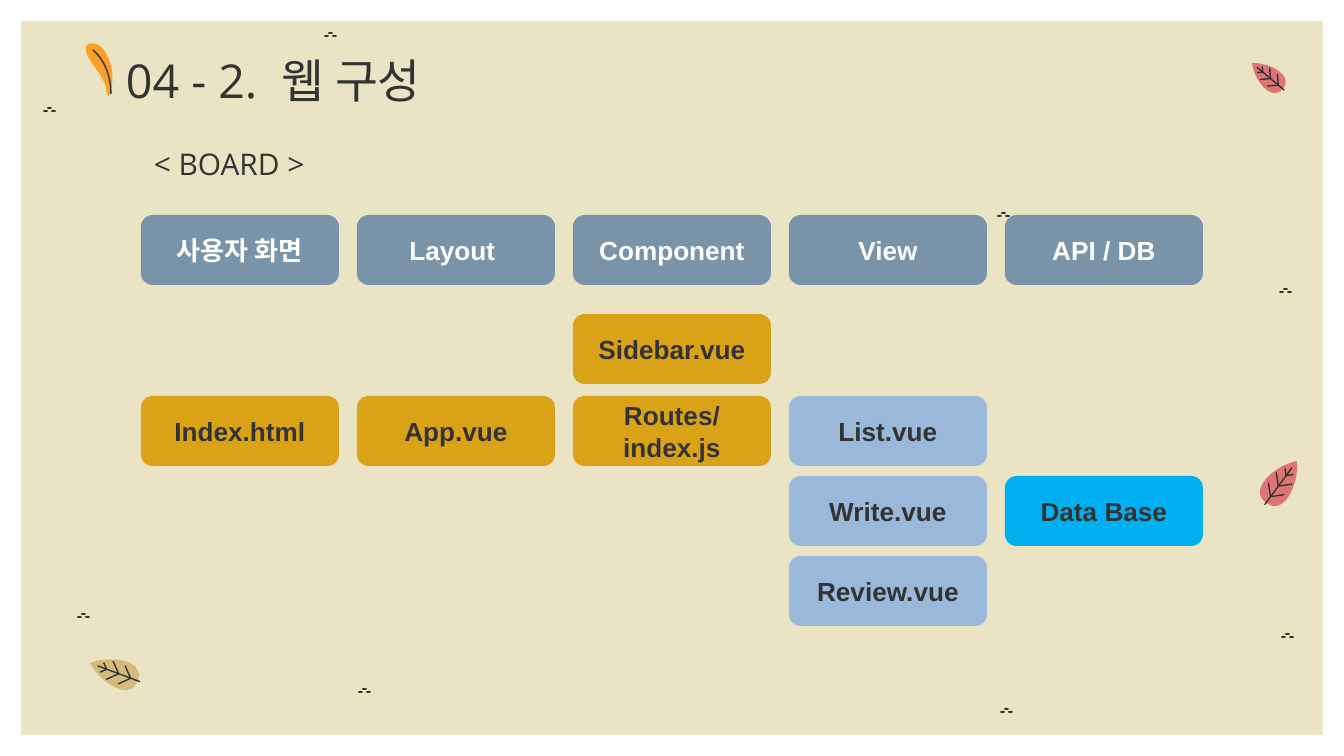
from dataclasses import dataclass

from pptx import Presentation
from pptx.dml.color import RGBColor
from pptx.enum.shapes import MSO_SHAPE
from pptx.enum.text import MSO_ANCHOR, PP_ALIGN
from pptx.util import Emu, Pt

RECTANGLE = MSO_SHAPE.RECTANGLE
OVAL = MSO_SHAPE.OVAL
ROUNDED_BOX = MSO_SHAPE.FLOWCHART_ALTERNATE_PROCESS
TOP, MIDDLE = MSO_ANCHOR.TOP, MSO_ANCHOR.MIDDLE
LEFT, CENTER = PP_ALIGN.LEFT, PP_ALIGN.CENTER

WIDTH, HEIGHT = 1344, 756
EMU_PER_PX = 9144000 / WIDTH
BORDER = 21
INSET = 13
CURVE_STEPS = 10

COLORS = {
    "sand": "EBE4C4", "white": "FFFFFF", "ink": "333333",
    "slate": "7994A9", "gold": "D9A217", "sky": "9AB8D9", "cyan": "00B0F0",
    "orange": "FD9F24", "tan": "D5BB7B", "rose": "DE7476",
}

Point = tuple[float, float]


@dataclass(frozen=True)
class Leaf:
    tip: Point
    end: Point
    color: str


@dataclass(frozen=True)
class Box:
    column: int
    row: int
    lines: list[str]
    color: str
    text_color: str = "ink"


@dataclass(frozen=True)
class TextStyle:
    font: str
    size: int
    color: str
    bold: bool = False
    align: PP_ALIGN = LEFT
    anchor: MSO_ANCHOR = MIDDLE


LEAVES = [
    Leaf((90, 663), (138, 681), "tan"),
    Leaf((1297, 461), (1266, 503), "rose"),
    Leaf((1252, 63), (1283, 89), "rose"),
]

# Leaf pattern along the axis from tip (0) to end (1): one Bezier edge, and side veins
LEAF_EDGE = [(0, 0), (0.3, 0.28), (1, 0.45), (1, 0)]
LEAF_RIB = [(0.16, 0), (1.04, 0)]
SIDE_VEINS = {0.35: 0.1, 0.6: 0.19, 0.85: 0.19}  # joint: reach

FEATHER = [(109, 96), (116, 80), (112, 56), (100, 46), (90, 40),
           (80, 44), (90, 60), (95, 69), (106, 78), (107, 94)]
FEATHER_RIB = [(93, 50), (107, 62), (111, 80), (111, 94)]

SPECKS = [(1279, 288), (997, 212), (358, 688), (77, 613),
          (1000, 708), (1281, 633), (43, 107), (324, 32)]
SPECK_OFFSETS = [(0, 3), (4, 0), (8, 3)]

# Box grid
COLUMN_LEFT, COLUMN_STEP = 141, 216
ROW_TOPS = [215, 314, 396, 476, 556]
BOX_WIDTH, BOX_HEIGHT = 198, 70
HEADERS = ["사용자 화면", "Layout ", "Component", "View", "API / DB"]
BOXES = [Box(column, 0, [name], "slate", "white") for column, name in enumerate(HEADERS)] + [
    Box(0, 2, ["Index.html"], "gold"),
    Box(1, 2, ["App.vue"], "gold"),
    Box(2, 1, ["Sidebar.vue"], "gold"),
    Box(2, 2, ["Routes/", "index.js"], "gold"),
    Box(3, 2, ["List.vue"], "sky"),
    Box(3, 3, ["Write.vue"], "sky"),
    Box(3, 4, ["Review.vue"], "sky"),
    Box(4, 3, ["Data Base"], "cyan"),
]


def px(value: float) -> Emu:
    return Emu(round(value * EMU_PER_PX))


def rgb(name: str) -> RGBColor:
    return RGBColor.from_string(COLORS[name])


def add_filled(slide, kind, left: int, top: int, width: int, height: int, color: str):
    shape = slide.shapes.add_shape(kind, px(left), px(top), px(width), px(height))
    shape.shadow.inherit = False
    shape.fill.solid()
    shape.fill.fore_color.rgb = rgb(color)
    shape.line.fill.background()
    return shape


def write_text(shape, paragraphs: list[list[str]], style: TextStyle) -> None:
    frame = shape.text_frame
    frame.word_wrap = True
    frame.vertical_anchor = style.anchor
    frame.margin_left = frame.margin_right = px(INSET)
    frame.margin_top = frame.margin_bottom = px(INSET)
    for index, runs in enumerate(paragraphs):
        paragraph = frame.add_paragraph() if index else frame.paragraphs[0]
        paragraph.alignment = style.align
        for text in runs:
            run = paragraph.add_run()
            run.text = text
            run.font.name = style.font
            run.font.size = Pt(style.size)
            run.font.bold = style.bold
            run.font.color.rgb = rgb(style.color)


def smooth(controls: list[Point]) -> list[Point]:
    """Sample a chain of cubic Bezier curves."""
    points = [controls[0]]
    for first in range(0, len(controls) - 1, 3):
        curve = controls[first:first + 4]
        for step in range(1, CURVE_STEPS + 1):
            t = step / CURVE_STEPS
            weights = ((1 - t) ** 3, 3 * t * (1 - t) ** 2, 3 * t * t * (1 - t), t ** 3)
            points.append(tuple(sum(w * point[axis] for w, point in zip(weights, curve))
                                for axis in (0, 1)))
    return points


def add_path(slide, strokes: list[list[Point]], close: bool):
    scaled = [[(px(x), px(y)) for x, y in stroke] for stroke in strokes]
    builder = slide.shapes.build_freeform(*scaled[0][0])
    for index, stroke in enumerate(scaled):
        if index:
            builder.move_to(*stroke[0])
        builder.add_line_segments(stroke[1:], close=close)
    shape = builder.convert_to_shape()
    shape.shadow.inherit = False
    return shape


def add_foliage(slide, outline: list[Point], veins: list[list[Point]], color: str) -> None:
    blade = add_path(slide, [outline], True)
    blade.fill.solid()
    blade.fill.fore_color.rgb = rgb(color)
    blade.line.fill.background()
    vein_lines = add_path(slide, veins, False)
    vein_lines.fill.background()
    vein_lines.line.color.rgb = rgb("ink")
    vein_lines.line.width = Pt(0.75)


def add_leaf(slide, leaf: Leaf) -> None:
    (tip_x, tip_y), (end_x, end_y) = leaf.tip, leaf.end
    dx, dy = end_x - tip_x, end_y - tip_y

    def place(points: list[Point]) -> list[Point]:
        return [(tip_x + u * dx - v * dy, tip_y + u * dy + v * dx) for u, v in points]

    other_edge = [(u, -v) for u, v in reversed(LEAF_EDGE[:-1])]
    side_veins = [[(joint - reach, reach), (joint, 0), (joint - reach, -reach)]
                  for joint, reach in SIDE_VEINS.items()]
    add_foliage(slide, smooth(place(LEAF_EDGE + other_edge)),
                [place(vein) for vein in [LEAF_RIB] + side_veins], leaf.color)


def add_box(slide, box: Box) -> None:
    shape = add_filled(slide, ROUNDED_BOX, COLUMN_LEFT + box.column * COLUMN_STEP,
                       ROW_TOPS[box.row], BOX_WIDTH, BOX_HEIGHT, box.color)
    style = TextStyle("Arial", 14, box.text_color, True, CENTER)
    write_text(shape, [[line] for line in box.lines], style)


def main() -> None:
    presentation = Presentation()
    presentation.slide_width, presentation.slide_height = px(WIDTH), px(HEIGHT)
    slide = presentation.slides.add_slide(presentation.slide_layouts[6])
    slide.background.fill.solid()
    slide.background.fill.fore_color.rgb = rgb("sand")

    # White border
    for top in (0, HEIGHT - BORDER):
        add_filled(slide, RECTANGLE, 0, top, WIDTH, BORDER, "white")
    for left in (0, WIDTH - BORDER):
        add_filled(slide, RECTANGLE, left, 0, BORDER, HEIGHT, "white")

    # Specks, feather and leaves
    for left, top in SPECKS:
        for dx, dy in SPECK_OFFSETS:
            add_filled(slide, OVAL, left + dx, top + dy, 5, 2, "ink")
    add_foliage(slide, smooth(FEATHER), [smooth(FEATHER_RIB)], "orange")
    for leaf in LEAVES:
        add_leaf(slide, leaf)

    # Headings; the space before the Korean words is widened by letter spacing
    title = slide.shapes.add_textbox(px(113), px(39), px(376), px(99))
    write_text(title, [["04 - 2.", " ", "웹 구성"]],
               TextStyle("Open Sans", 25, "ink", anchor=TOP))
    title.text_frame.paragraphs[0].runs[1]._r.get_or_add_rPr().set("spc", "650")
    subtitle = slide.shapes.add_textbox(px(141), px(140), px(187), px(47))
    write_text(subtitle, [["< BOARD >"]], TextStyle("Open Sans", 16, "ink"))

    # Board structure
    for box in BOXES:
        add_box(slide, box)

    presentation.save("out.pptx")


if __name__ == "__main__":
    main()
